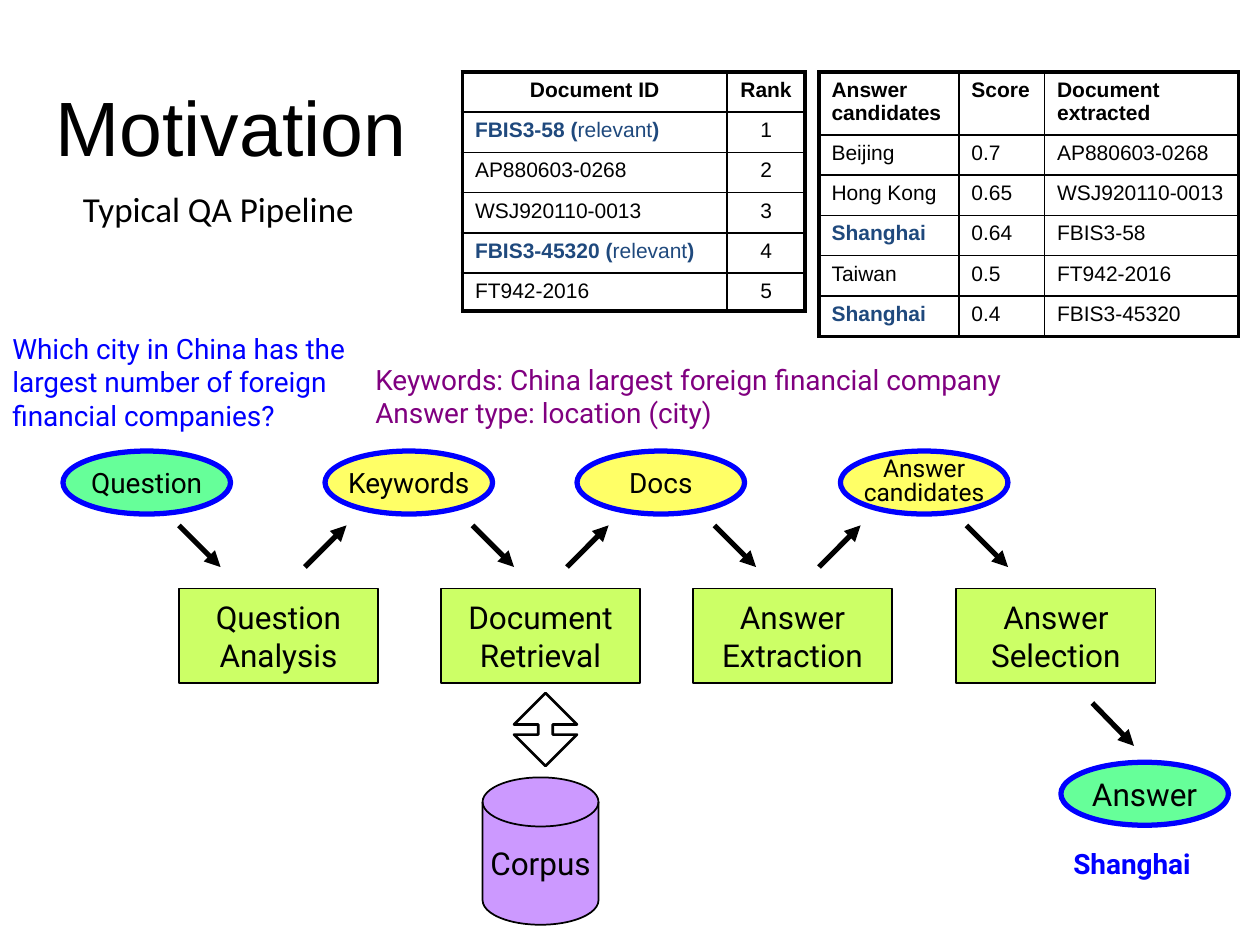
from dataclasses import dataclass

from lxml import etree
from pptx import Presentation
from pptx.dml.color import RGBColor
from pptx.enum.shapes import MSO_CONNECTOR, MSO_SHAPE
from pptx.enum.text import MSO_ANCHOR, PP_ALIGN
from pptx.oxml.ns import qn
from pptx.shapes.autoshape import Shape
from pptx.slide import Slide
from pptx.table import _Cell
from pptx.text.text import TextFrame
from pptx.util import Inches, Pt

OVAL, RECT = MSO_SHAPE.OVAL, MSO_SHAPE.RECTANGLE
DISK, ARROW = MSO_SHAPE.FLOWCHART_MAGNETIC_DISK, MSO_SHAPE.UP_DOWN_ARROW
STRAIGHT = MSO_CONNECTOR.STRAIGHT
LEFT, CENTER = PP_ALIGN.LEFT, PP_ALIGN.CENTER
TOP, MIDDLE = MSO_ANCHOR.TOP, MSO_ANCHOR.MIDDLE

BLACK = RGBColor(0x00, 0x00, 0x00)
BLUE = RGBColor(0x00, 0x00, 0xFF)
NAVY = RGBColor(0x1F, 0x49, 0x7D)
PLUM = RGBColor(0x80, 0x00, 0x80)
MINT = RGBColor(0x66, 0xFF, 0x99)
YELLOW = RGBColor(0xFF, 0xFF, 0x66)
LIME = RGBColor(0xCC, 0xFF, 0x66)
LILAC = RGBColor(0xCC, 0x99, 0xFF)

BODY = {"name": "Roboto", "size": Pt(16), "bold": False}
LARGE = BODY | {"size": Pt(18)}
SMALL = BODY | {"size": Pt(14)}
CELL = {"name": "Arial", "size": Pt(12), "bold": False}


@dataclass
class Box:
    left: float
    top: float
    width: float
    height: float

    def emu(self) -> list[int]:
        return [Inches(v) for v in (self.left, self.top, self.width, self.height)]


@dataclass
class Step:
    left: float
    label: str
    fill: RGBColor
    style: dict
    task: str
    down: float


@dataclass
class Note:
    box: Box
    text: str
    style: dict
    color: RGBColor = BLACK
    align: PP_ALIGN = LEFT
    anchor: MSO_ANCHOR = TOP
    wrap: bool = True


@dataclass
class Grid:
    box: Box
    cols: list[float]
    rows: list[float]
    cells: list[tuple]
    center: tuple = ()


STEPS = [
    Step(0.5, "Question", MINT, BODY, "Question\nAnalysis", 1.42),
    Step(2.58, "Keywords", YELLOW, BODY, "Document\nRetrieval", 3.75),
    Step(4.58, "Docs", YELLOW, BODY, "Answer\nExtraction", 5.67),
    Step(6.67, "Answer\ncandidates", YELLOW, SMALL, "Answer\nSelection", 7.67),
]

NOTES = [
    Note(Box(0.17, 0.57, 3.33, 0.86), "Motivation", {"name": "Arial", "size": Pt(44)},
         align=CENTER, anchor=MIDDLE),
    Note(Box(0.56, 1.44, 2.38, 0.44), "Typical QA Pipeline",
         {"name": "Calibri", "size": Pt(20)}, wrap=False),
    Note(Box(0, 2.58, 3, 0.9),
         "Which city in China has the largest number of foreign financial companies?",
         BODY, BLUE),
    Note(Box(2.88, 2.82, 5.22, 0.64),
         "Keywords: China largest foreign financial company\nAnswer type: location (city)",
         BODY, PLUM, anchor=MIDDLE, wrap=False),
    Note(Box(8.42, 6.67, 1.25, 0.37), "Shanghai", BODY | {"bold": True}, BLUE),
]

GRIDS = [
    Grid(Box(3.67, 0.57, 2.73, 1.89), [2.1, 0.62], [0.32] * 5 + [0.3], [
        ("Document ID", "Rank"),
        (("FBIS3-58 (", "relevant", ")"), "1"),
        ("AP880603-0268", "2"),
        ("WSJ920110-0013", "3"),
        (("FBIS3-45320 (", "relevant", ")"), "4"),
        ("FT942-2016", "5"),
    ], center=((0, 0), *((r, 1) for r in range(6)))),
    Grid(Box(6.5, 0.57, 3.33, 2.09), [1.11, 0.68, 1.54], [0.5] + [0.32] * 5, [
        ("Answer candidates", "Score", "Document extracted"),
        ("Beijing", "0.7", "AP880603-0268"),
        ("Hong Kong", "0.65", "WSJ920110-0013"),
        (("Shanghai",), "0.64", "FBIS3-58"),
        ("Taiwan", "0.5", "FT942-2016"),
        (("Shanghai",), "0.4", "FBIS3-45320"),
    ]),
]


def write(frame: TextFrame, text: str, style: dict, color: RGBColor = BLACK,
          align: PP_ALIGN = CENTER, space: float = 1.0) -> None:
    for i, line in enumerate(text.split("\n")):
        para = frame.add_paragraph() if i else frame.paragraphs[0]
        para.alignment, para.line_spacing = align, space
        add_run(para, line, style, color)


def add_run(para, text: str, style: dict, color: RGBColor) -> None:
    run = para.add_run()
    run.text = text
    for key, value in style.items():
        setattr(run.font, key, value)
    run.font.color.rgb = color


def add_note(slide: Slide, note: Note) -> None:
    frame = slide.shapes.add_textbox(*note.box.emu()).text_frame
    frame.word_wrap, frame.vertical_anchor = note.wrap, note.anchor
    write(frame, note.text, note.style, note.color, note.align)


def add_node(slide: Slide, kind: MSO_SHAPE, box: Box, fill: RGBColor | None = None,
             text: str = "", style: dict = LARGE, line: RGBColor = BLACK,
             width: float = 1, space: float = 1.0) -> Shape:
    node = slide.shapes.add_shape(kind, *box.emu())
    node.shadow.inherit = False
    if fill is None:
        node.fill.background()
    else:
        node.fill.solid()
        node.fill.fore_color.rgb = fill
    node.line.color.rgb, node.line.width = line, Pt(width)
    if text:
        node.text_frame.word_wrap = False
        node.text_frame.vertical_anchor = MIDDLE
        write(node.text_frame, text, style, space=space)
    return node


def add_arrow(slide: Slide, left: float, start: float, end: float) -> None:
    ends = [Inches(v) for v in (left, start, left + 0.33, end)]
    link = slide.shapes.add_connector(STRAIGHT, *ends)
    link.line.color.rgb, link.line.width = BLACK, Pt(3)
    etree.SubElement(link.line._get_or_add_ln(), qn("a:tailEnd"), type="triangle")
    etree.SubElement(link._element.spPr, qn("a:effectLst"))


def add_edges(cell: _Cell, outer: dict[str, bool]) -> None:
    props = cell._tc.get_or_add_tcPr()
    for side, thick in outer.items():
        edge = etree.SubElement(props, qn(f"a:ln{side}"), w=str(Pt(2.25 if thick else 1)))
        fill = etree.SubElement(edge, qn("a:solidFill"))
        etree.SubElement(fill, qn("a:srgbClr"), val=str(BLACK))


def add_grid(slide: Slide, grid: Grid) -> None:
    high, wide = len(grid.rows), len(grid.cols)
    table = slide.shapes.add_table(high, wide, *grid.box.emu()).table
    table.first_row = table.horz_banding = False
    for col, width in zip(table.columns, grid.cols):
        col.width = Inches(width)
    for r, (row, height) in enumerate(zip(table.rows, grid.rows)):
        row.height = Inches(height)
        for c, cell in enumerate(row.cells):
            add_edges(cell, {"L": c == 0, "R": c == wide - 1, "T": r == 0, "B": r == high - 1})
            cell.fill.background()
            para = cell.text_frame.paragraphs[0]
            para.alignment = CENTER if (r, c) in grid.center else LEFT
            text = grid.cells[r][c]
            marked = isinstance(text, tuple)
            for i, part in enumerate(text if marked else (text,)):
                bold = r == 0 or (marked and i % 2 == 0)
                add_run(para, part, CELL | {"bold": bold}, NAVY if marked else BLACK)


def add_steps(slide: Slide) -> None:
    for i, step in enumerate(STEPS):
        task = step.left + 0.92
        add_node(slide, OVAL, Box(step.left, 3.58, 1.33, 0.5), step.fill, step.label,
                 step.style, BLUE, 3, 0.8 if "\n" in step.label else 1.0)
        add_node(slide, RECT, Box(task, 4.67, 1.58, 0.75), LIME, step.task)
        add_arrow(slide, step.down, 4.17, 4.5)
        if i < len(STEPS) - 1:
            add_arrow(slide, task + 1, 4.5, 4.17)


def main() -> None:
    """Build the slide on a typical question answering pipeline."""
    deck = Presentation()
    deck.slide_width, deck.slide_height = Inches(10), Inches(7.5)
    slide = deck.slides.add_slide(deck.slide_layouts[6])
    for note in NOTES:
        add_note(slide, note)
    for grid in GRIDS:
        add_grid(slide, grid)
    add_steps(slide)
    add_node(slide, DISK, Box(3.83, 6.17, 0.92, 1.17), LILAC, "Corpus")
    both = add_node(slide, ARROW, Box(4.08, 5.5, 0.5, 0.58), width=1.5)
    both.adjustments[0], both.adjustments[1] = 0.5, 0.23
    add_arrow(slide, 8.67, 5.58, 5.92)
    add_node(slide, OVAL, Box(8.42, 6.05, 1.33, 0.5), MINT, "Answer", line=BLUE, width=3)
    deck.save("out.pptx")


if __name__ == "__main__":
    main()
